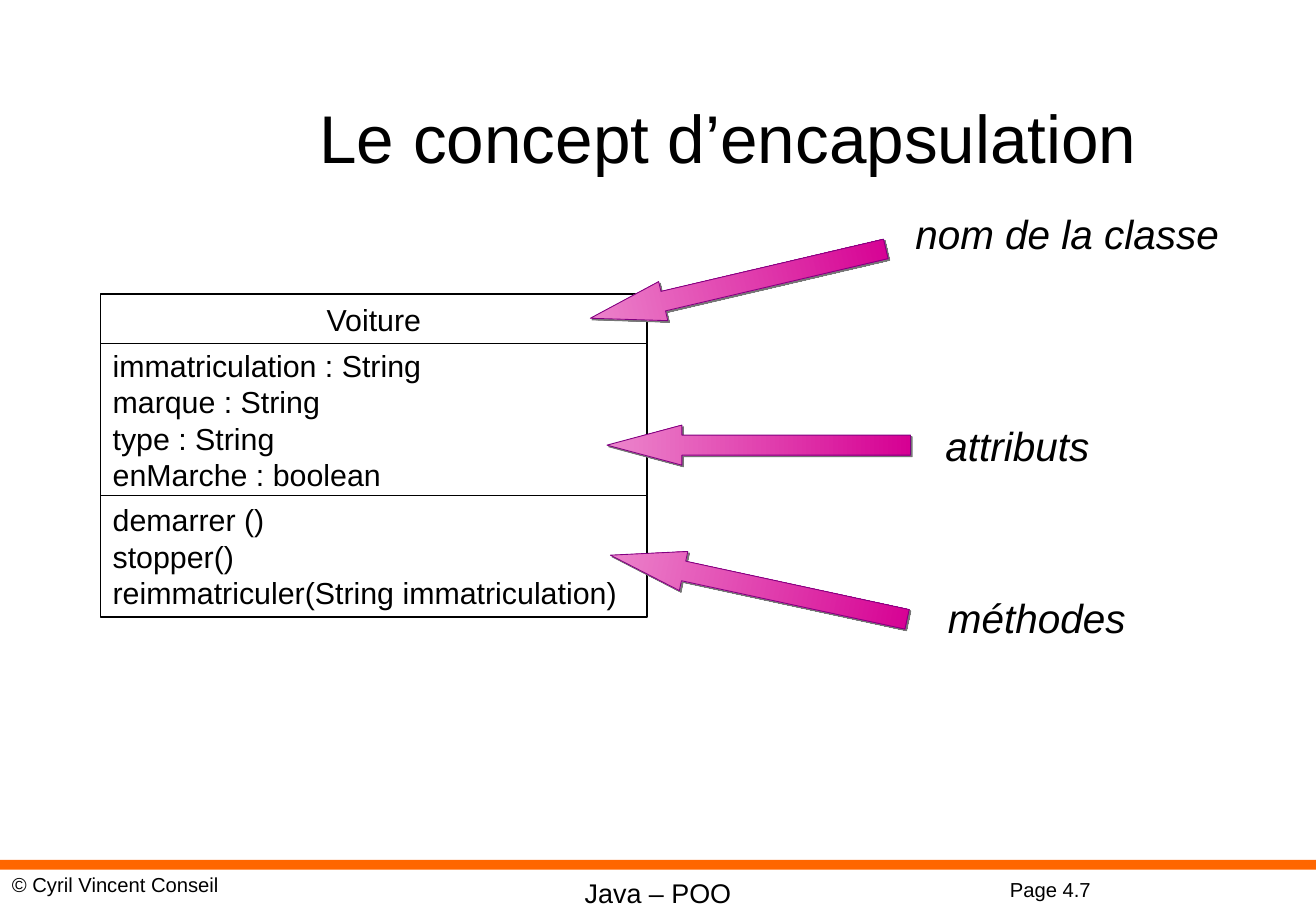
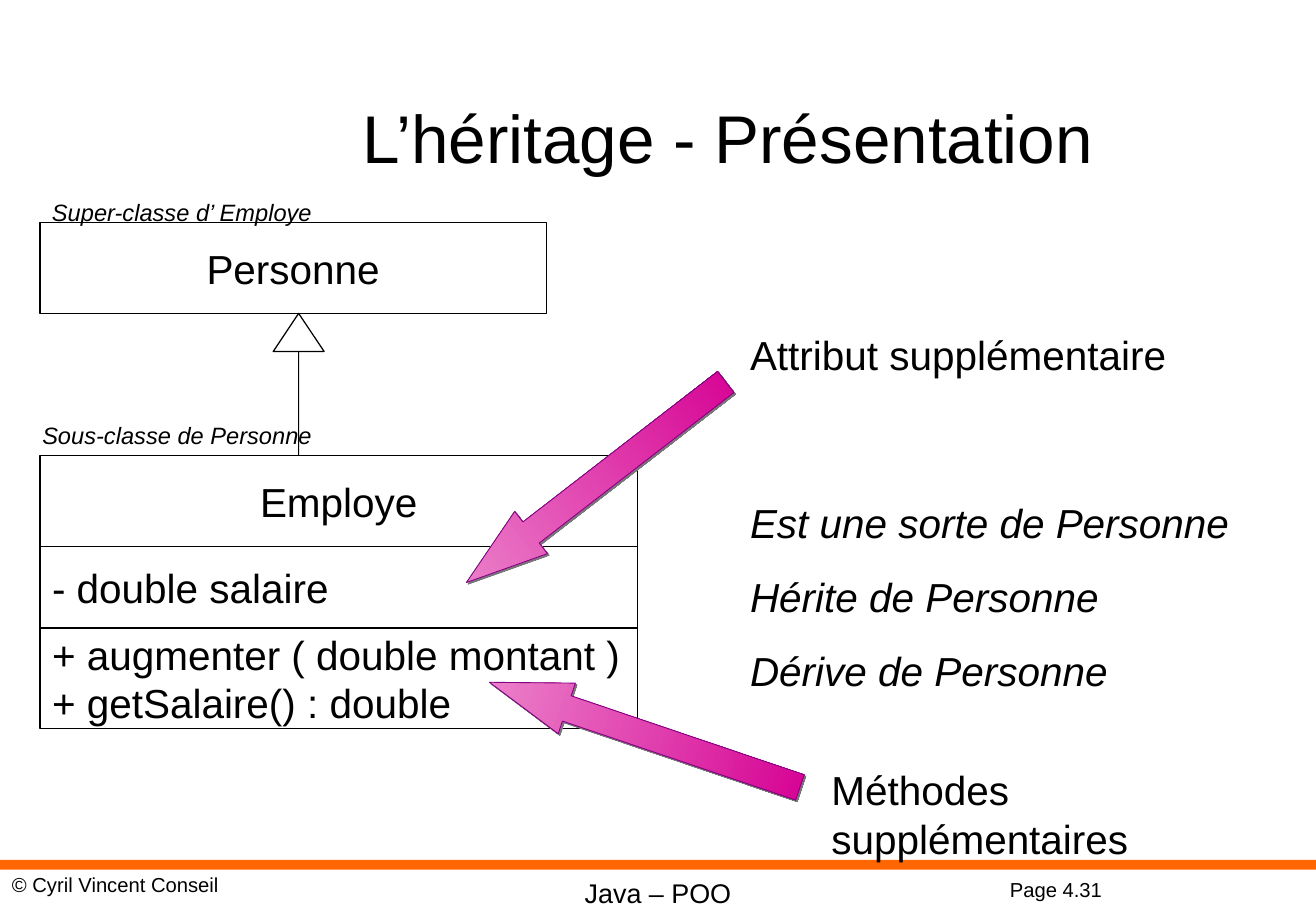
from lxml.etree import SubElement
from pptx import Presentation
from pptx.dml.color import RGBColor
from pptx.enum.shapes import MSO_SHAPE as Shape
from pptx.enum.text import MSO_ANCHOR as Anchor, MSO_AUTO_SIZE as AutoSize, PP_ALIGN as Align
from pptx.oxml.ns import qn
from pptx.util import Inches, Pt

WIDTH, HEIGHT = 10.84, 7.5
FONT = "Arial"
BLACK, WHITE, ORANGE = "000000", "FFFFFF", "FF6600"
PINK, MAGENTA, PURPLE, GREY = "EC86CC", "D60093", "800080", "777777"
TITLE_ONLY = 5


def color(hex_string):
    return RGBColor.from_string(hex_string)


def write(frame, lines, size=24, italic=False, align=Align.LEFT, anchor=Anchor.TOP,
          wrap=True, gap=0):
    """Fill a text frame with one paragraph per line; gap is the space between them."""
    frame.auto_size = AutoSize.NONE
    frame.word_wrap = wrap
    frame.vertical_anchor = anchor
    for index, line in enumerate(lines):
        para = frame.paragraphs[0] if index == 0 else frame.add_paragraph()
        para.alignment = align
        para.space_before = Pt(gap if index else 0)
        span = para.add_run()
        span.text = line
        span.font.name = FONT
        span.font.size = Pt(size)
        span.font.italic = italic
        span.font.color.rgb = color(BLACK)


def add_label(page, left, top, width, height, *lines, **style):
    box = page.shapes.add_textbox(Inches(left), Inches(top), Inches(width), Inches(height))
    write(box.text_frame, lines, **style)


def add_outline(page, kind, left, top, width, height, fill=WHITE, line=BLACK, weight=0.75):
    box = page.shapes.add_shape(kind, Inches(left), Inches(top), Inches(width), Inches(height))
    box.shadow.inherit = False
    box.fill.solid()
    box.fill.fore_color.rgb = color(fill)
    if line:
        box.line.color.rgb = color(line)
        box.line.width = Pt(weight)
    else:
        box.line.fill.background()
    return box


def add_class(page, left, top, width, compartments, size):
    """Stack the compartments of a class; the first one holds its centred name."""
    for index, (height, lines) in enumerate(compartments):
        box = add_outline(page, Shape.RECTANGLE, left, top, width, height)
        write(box.text_frame, lines, size=size, anchor=Anchor.MIDDLE, wrap=False,
              align=Align.LEFT if index else Align.CENTER)
        top += height


def add_pointer(page, left, top, width, height, head, rotation=0):
    """Shaded arrow pointing left, with a hard shadow."""
    arrow = add_outline(page, Shape.LEFT_ARROW, left, top, width, height,
                        line=PURPLE, weight=0.5)
    arrow.adjustments[0] = 0.5
    arrow.adjustments[1] = head
    arrow.rotation = rotation
    arrow.fill.gradient()
    arrow.fill.gradient_angle = 0
    for stop, shade in zip(arrow.fill.gradient_stops, (PINK, MAGENTA)):
        stop.color.rgb = color(shade)
    effects = arrow._element.spPr.find(qn("a:effectLst"))
    shadow = SubElement(effects, qn("a:outerShdw"), blurRad="0", dist=str(Pt(1.4)),
                        dir="2700000", algn="ctr", rotWithShape="0")
    SubElement(shadow, qn("a:srgbClr"), val=GREY)


def add_page(deck, title, number):
    """Slide with the shared title, orange band and footers."""
    page = deck.slides.add_slide(deck.slide_layouts[TITLE_ONLY])
    add_outline(page, Shape.RECTANGLE, 0, 7.08, WIDTH, 0.08, fill=ORANGE, line=None)
    add_label(page, 8.22, 7.17, 1.44, 0.3, f"Page {number}", size=12)
    add_label(page, 2.62, 7.17, 5.6, 0.37, "Java – POO", size=16, align=Align.CENTER)
    add_label(page, 0, 7.13, 4.06, 0.3, "© Cyril Vincent Conseil", size=12)
    heading = page.shapes.title
    heading.left, heading.top = Inches(1.39), Inches(0.5)
    heading.width, heading.height = Inches(9.21), Inches(1.25)
    write(heading.text_frame, [title], size=40, align=Align.CENTER, anchor=Anchor.MIDDLE)
    return page


def build_encapsulation(deck):
    page = add_page(deck, "Le concept d’encapsulation", "4.7")
    add_class(page, 0.83, 2.42, 4.5, [
        (0.41, ["Voiture"]),
        (1.25, ["immatriculation : String", "marque : String", "type : String",
                "enMarche : boolean"]),
        (1, ["demarrer ()", "stopper()", "reimmatriculer(String immatriculation)"]),
    ], size=18)

    # Each part of the class: arrow position and rotation, label position and text
    for left, top, rotation, label_left, label_top, name in (
        (4.83, 2.17, -13.2, 7.33, 1.67, "nom de la classe"),
        (5, 3.5, 0, 6.92, 3.42, "attributs"),
        (5, 4.67, 12.2, 7.08, 4.83, "méthodes"),
    ):
        add_pointer(page, left, top, 2.5, 0.33, 1.87, rotation)
        add_label(page, label_left, label_top, 2.92, 0.5, name, italic=True,
                  align=Align.CENTER)


def build_inheritance(deck):
    page = add_page(deck, "L’héritage - Présentation", "4.31")
    add_label(page, 6.08, 4.05, 4.17, 1.72, "Est une sorte de Personne",
              "Hérite de Personne", "Dérive de Personne", italic=True, gap=15)

    # Parent and child classes
    add_class(page, 0.33, 1.83, 4.17, [(0.75, ["Personne"])], size=24)
    add_class(page, 0.33, 3.75, 4.92, [
        (0.75, ["Employe"]),
        (0.67, ["- double salaire"]),
        (0.83, ["+ augmenter ( double montant )", "+ getSalaire() : double"]),
    ], size=24)

    # Inheritance arrow: hollow head on a shaft of no thickness
    inherits = add_outline(page, Shape.UP_ARROW, 2.25, 2.58, 0.42, 1.17)
    inherits.adjustments[0] = 0
    inherits.adjustments[1] = 0.75

    # Added members
    add_pointer(page, 3.56, 3.75, 2.7, 0.44, 1.53, -37.7)
    add_label(page, 6.08, 2.67, 4.17, 0.5, "Attribut supplémentaire")
    add_pointer(page, 3.96, 5.83, 2.7, 0.44, 1.53, 18.7)
    add_label(page, 6.75, 6.25, 3.83, 0.9, "Méthodes supplémentaires")

    # Roles of the two classes
    add_label(page, 0.33, 1.58, 4.17, 0.34, "Super-classe d’ Employe", size=14, italic=True)
    add_label(page, 0.25, 3.42, 4.17, 0.34, "Sous-classe de Personne", size=14, italic=True)


def main():
    deck = Presentation()
    deck.slide_width, deck.slide_height = Inches(WIDTH), Inches(HEIGHT)
    build_encapsulation(deck)
    build_inheritance(deck)
    deck.save("out.pptx")


if __name__ == "__main__":
    main()
